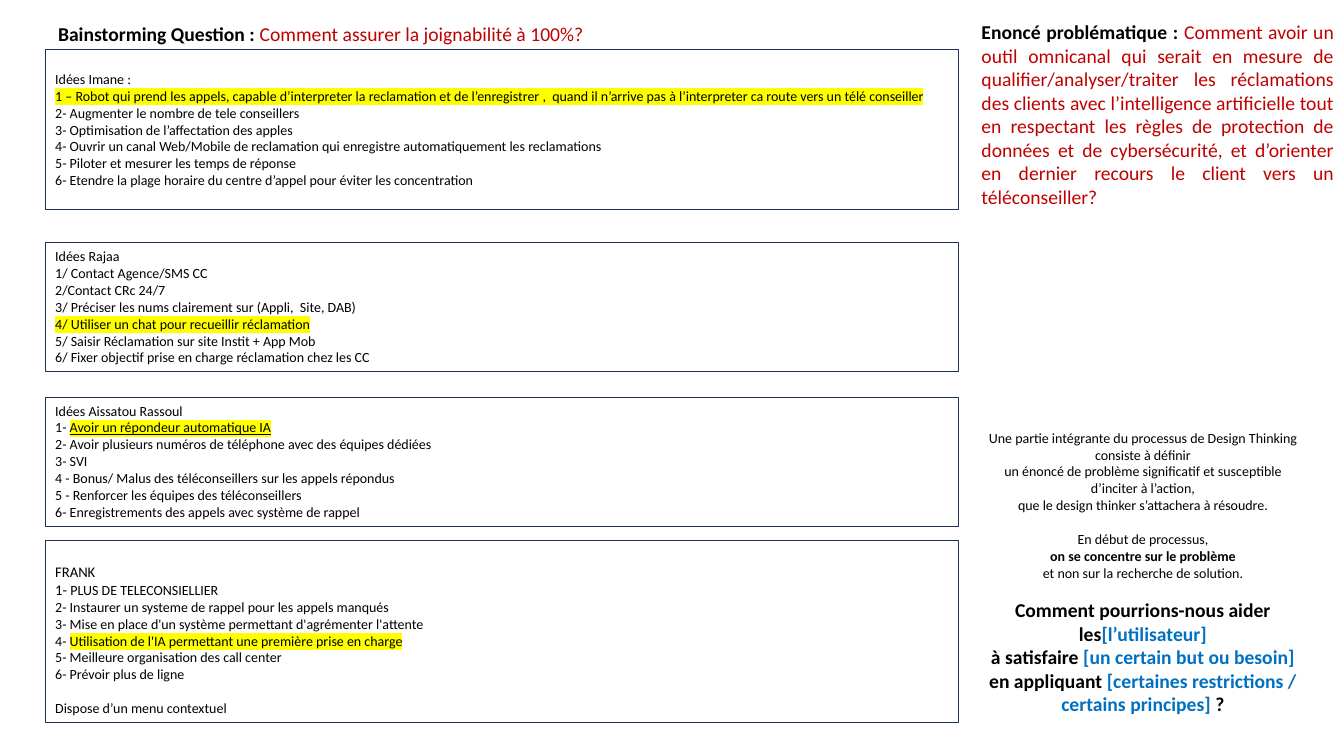
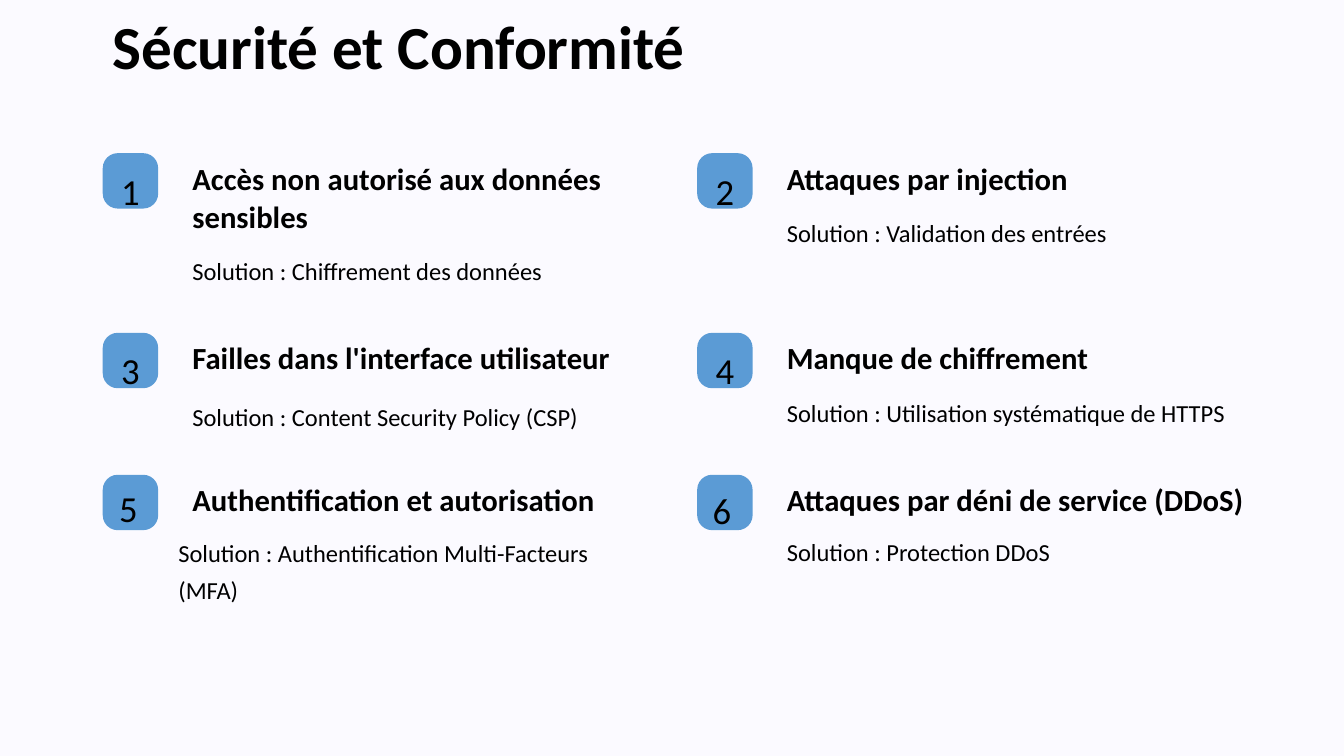
"""Build two slides: a brainstorming board and a security checklist."""
import pptx
import pptx.dml.color
import pptx.enum.shapes
import pptx.enum.text
import pptx.oxml
import pptx.oxml.ns
import pptx.util

Pt = pptx.util.Pt
RGB = pptx.dml.color.RGBColor.from_string
ALIGN = pptx.enum.text.PP_ALIGN
ANCHOR = pptx.enum.text.MSO_ANCHOR
SHAPE = pptx.enum.shapes.MSO_SHAPE

THEME = {
    "font": "Calibri",
    "outline": "1E3256",
    "highlight": "FFFF00",
    "badge": "5B9BD5",
    "backdrop": "FBFAFF",
    "styles": {
        "idea": {"size": 10},
        "name": {"size": 10.5},
        "mark": {"size": 10, "highlight": True},
        "mark_underlined": {"size": 10, "highlight": True, "underline": True},
        "idea_bold": {"size": 10, "bold": True},
        "lead": {"size": 14, "bold": True},
        "question": {"size": 14, "color": "C00000"},
        "slot": {"size": 14, "bold": True, "color": "0070C0"},
        "title": {"size": 43.7, "bold": True},
        "number": {"size": 26.2},
        "heading": {"size": 21.9, "bold": True},
        "solution": {"size": 17.5},
    },
    "leading": {"title": 54.7, "number": 32.8, "heading": 27.3, "solution": 26.2},
}

BLANK_LINE = 12.2
BOARD_LEFT, BOARD_WIDTH = 32.4, 652.3
IDEA_BOXES = [
    {"top": 35.3, "height": 114.5, "line": 1, "anchor": ANCHOR.MIDDLE, "ideas": [
        "Idées Imane :",
        [("1 – Robot qui prend les appels, capable d’interpreter la reclamation et de l’enregistrer ,  "
          "quand il n’arrive pas à l’interpreter ca route vers un télé conseiller", "mark")],
        "2- Augmenter le nombre de tele conseillers",
        "3- Optimisation de l’affectation des apples",
        "4- Ouvrir un canal Web/Mobile de reclamation qui enregistre automatiquement les reclamations",
        "5- Piloter et mesurer les temps de réponse",
        "6- Etendre la plage horaire du centre d’appel pour éviter les concentration",
    ]},
    {"top": 173.5, "height": 92.2, "ideas": [
        "Idées Rajaa",
        "1/ Contact Agence/SMS CC",
        "2/Contact CRc 24/7",
        "3/ Préciser les nums clairement sur (Appli,  Site, DAB)",
        [("4/ Utiliser un chat pour recueillir réclamation", "mark")],
        "5/ Saisir Réclamation sur site Instit + App Mob",
        "6/ Fixer objectif prise en charge réclamation chez les CC",
    ]},
    {"top": 283.7, "height": 92.2, "ideas": [
        "Idées Aissatou Rassoul",
        [("1- ", "idea"), ("Avoir un répondeur automatique IA", "mark_underlined")],
        "2- Avoir plusieurs numéros de téléphone avec des équipes dédiées",
        "3- SVI",
        "4 - Bonus/ Malus des téléconseillers sur les appels répondus",
        "5 - Renforcer les équipes des téléconseillers",
        "6- Enregistrements des appels avec système de rappel",
    ]},
    {"top": 385.9, "height": 130.3, "margin_top": 16.4, "gaps": {8 - 1: BLANK_LINE}, "ideas": [
        [("FRANK", "name")],
        [("1- ", "name"), ("PLUS DE TELECONSIELLIER", "idea")],
        "2- Instaurer un systeme de rappel pour les appels manqués",
        "3- Mise en place d'un système permettant d'agrémenter l'attente",
        [("4- ", "idea"), ("Utilisation de l'IA permettant une première prise en charge", "mark")],
        "5- Meilleure organisation des call center",
        "6- Prévoir plus de ligne",
        "Dispose d’un menu contextuel",
    ]},
]
BRAINSTORM_QUESTION = [[("Bainstorming Question : ", "lead"),
                        ("Comment assurer la joignabilité à 100%?", "question")]]
PROBLEM = [[("Enoncé problématique : ", "lead"),
            ("Comment avoir un outil omnicanal qui serait en mesure de qualifier/analyser/traiter "
             "les réclamations des clients avec l’intelligence artificielle tout en respectant les "
             "règles de protection de données et de cybersécurité, et d’orienter en dernier recours "
             "le client vers un téléconseiller?", "question")]]
METHOD = [
    "Une partie intégrante du processus de Design Thinking consiste à définir",
    "un énoncé de problème significatif et susceptible d’inciter à l’action,",
    "que le design thinker s’attachera à résoudre.",
    "En début de processus,",
    [("on se concentre sur le problème", "idea_bold")],
    "et non sur la recherche de solution.",
    [("Comment pourrions-nous aider les", "lead"), ("[l’utilisateur]", "slot")],
    [("à satisfaire ", "lead"), ("[un certain but ou besoin]", "slot")],
    [("en appliquant ", "lead"), ("[certaines restrictions / certains principes]", "slot"),
     (" ?", "lead")],
]
METHOD_GAPS = {3: BLANK_LINE, 6: BLANK_LINE}

SECURITY_TITLE = "Sécurité et Conformité"
COLUMN_LEFTS = [73.4, 498]
ROW_TOPS = [109.4, 237.7, 339.1]
BADGE_SIZE, TEXT_OFFSET, TEXT_WIDTH = 39.6, 56.9, 350
RISKS = [
    {"heading": "Accès non autorisé aux données sensibles",
     "solution": "Solution : Chiffrement des données", "drop": 64.8},
    {"heading": "Attaques par injection",
     "solution": "Solution : Validation des entrées", "drop": 37.5},
    {"heading": "Failles dans l'interface utilisateur",
     "solution": "Solution : Content Security Policy (CSP)", "drop": 41},
    {"heading": "Manque de chiffrement",
     "solution": "Solution : Utilisation systématique de HTTPS", "drop": 38},
    {"heading": "Authentification et autorisation",
     "solution": "Solution : Authentification Multi-Facteurs (MFA)", "drop": 36.7, "shift": -10,
     "margins": {"margin_top": 3.6, "margin_right": 2.9}},
    {"heading": "Attaques par déni de service (DDoS)",
     "solution": "Solution : Protection DDoS", "drop": 36,
     "margins": {"margin_top": 5, "margin_right": 4.3}},
]


def add_run(p, text, style):
    r = p.add_run()
    r.text = text
    fmt = {"name": THEME["font"], "bold": False, **THEME["styles"][style]}
    r.font.color.rgb = RGB(fmt.pop("color", "000000"))
    highlighted = fmt.pop("highlight", False)
    fmt["size"] = Pt(fmt["size"])
    for key, value in fmt.items():
        setattr(r.font, key, value)
    if highlighted:
        mark = pptx.oxml.parse_xml(
            f'<a:highlight {pptx.oxml.ns.nsdecls("a")}><a:srgbClr val="{THEME["highlight"]}"/></a:highlight>')
        r.font.fill._xPr.find(pptx.oxml.ns.qn("a:solidFill")).addnext(mark)


def write(sp, paragraphs, style="idea", align=ALIGN.LEFT, anchor=ANCHOR.TOP, gaps=None, **margins):
    tf = sp.text_frame
    tf.word_wrap = True
    tf.vertical_anchor = anchor
    for key, value in margins.items():
        setattr(tf, key, Pt(value))
    for i, runs in enumerate(paragraphs):
        p = tf.add_paragraph() if i else tf.paragraphs[0]
        p.alignment = align
        if gaps and i in gaps:
            p.space_before = Pt(gaps[i])
        if style in THEME["leading"]:
            p.line_spacing = Pt(THEME["leading"][style])
        for text, run_style in [(runs, style)] if isinstance(runs, str) else runs:
            add_run(p, text, run_style)


def add_text(s, box, paragraphs, **fmt):
    write(s.shapes.add_textbox(*map(Pt, box)), paragraphs, **fmt)


def add_box(s, kind, box, fill=None, line=None, width=0.75):
    sp = s.shapes.add_shape(kind, *map(Pt, box))
    sp.shadow.inherit = False
    for part, color in ((sp.fill, fill), (sp.line.fill, line)):
        if color:
            part.solid()
            part.fore_color.rgb = RGB(color)
        else:
            part.background()
    if line:
        sp.line.width = Pt(width)
    return sp


def build_brainstorm(s):
    for idea in IDEA_BOXES:
        box = (BOARD_LEFT, idea["top"], BOARD_WIDTH, idea["height"])
        sp = add_box(s, SHAPE.RECTANGLE, box, line=THEME["outline"], width=idea.get("line", 0.75))
        write(sp, idea["ideas"], anchor=idea.get("anchor", ANCHOR.TOP), gaps=idea.get("gaps"),
              margin_top=idea.get("margin_top", 3.6))
    add_text(s, (694, 303.1, 244.8, 213.1), METHOD, align=ALIGN.CENTER, gaps=METHOD_GAPS)
    add_text(s, (15.8, 12.2, 427, 24.5), BRAINSTORM_QUESTION, align=ALIGN.CENTER)
    add_text(s, (694, 10.8, 266, 143.3), PROBLEM, align=ALIGN.JUSTIFY)


def build_security(s):
    s.background.fill.solid()
    s.background.fill.fore_color.rgb = RGB(THEME["backdrop"])
    add_text(s, (COLUMN_LEFTS[0], 0, 514, 54.7), [SECURITY_TITLE], style="title")
    for i, risk in enumerate(RISKS):
        row, column = divmod(i, len(COLUMN_LEFTS))
        left, top = COLUMN_LEFTS[column], ROW_TOPS[row]
        badge = add_box(s, SHAPE.ROUNDED_RECTANGLE, (left, top, BADGE_SIZE, BADGE_SIZE),
                        fill=THEME["badge"])
        badge.adjustments[0] = 0.27
        margins = {"margin_left": 0, "margin_right": 0, "margin_top": 6.5, "margin_bottom": 0,
                   **risk.get("margins", {})}
        write(badge, [str(i + 1)], style="number", align=ALIGN.CENTER, **margins)
        text_left = left + TEXT_OFFSET
        add_text(s, (text_left, top, TEXT_WIDTH, 54.7), [risk["heading"]], style="heading")
        add_text(s, (text_left + risk.get("shift", 0), top + risk["drop"], TEXT_WIDTH, 26.2),
                 [risk["solution"]], style="solution")


def main():
    prs = pptx.Presentation()
    prs.slide_width, prs.slide_height = Pt(960), Pt(540)
    for build in (build_brainstorm, build_security):
        build(prs.slides.add_slide(prs.slide_layouts[6]))
    prs.save("out.pptx")


if __name__ == "__main__":
    main()
